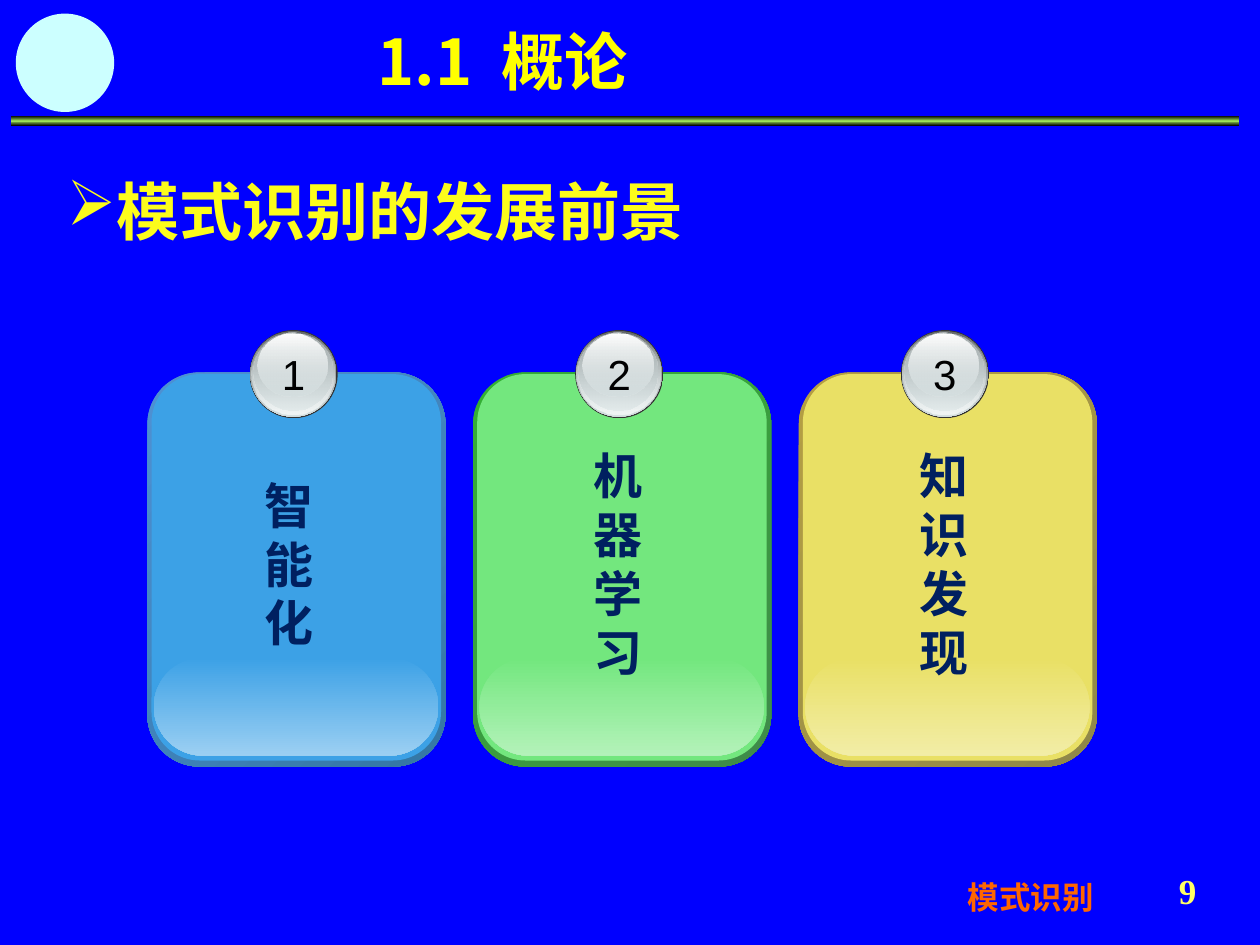
from dataclasses import dataclass
from typing import NamedTuple

from lxml import etree
from pptx import Presentation
from pptx.dml.color import RGBColor
from pptx.enum.shapes import MSO_SHAPE
from pptx.enum.text import PP_ALIGN
from pptx.oxml.ns import qn
from pptx.util import Pt

RECTANGLE = MSO_SHAPE.RECTANGLE
ROUNDED = MSO_SHAPE.ROUNDED_RECTANGLE
OVAL = MSO_SHAPE.OVAL
LEFT = PP_ALIGN.LEFT
CENTER = PP_ALIGN.CENTER

CJK_FONT = "Noto Sans CJK SC"
CARD_LEFT, CARD_TOP, CARD_STEP = 84.2, 212.8, 186.1
BALL_OFFSET, BALL_TOP = 58.4, 188.6


class Box(NamedTuple):
    left: float
    top: float
    width: float
    height: float

    def moved(self, x: float, y: float) -> "Box":
        return Box(self.left + x, self.top + y, self.width, self.height)

    def lengths(self) -> list:
        return [Pt(value) for value in self]


class Stop(NamedTuple):
    position: int
    color: str
    opacity: int = 100


@dataclass
class Style:
    size: float
    font: str
    color: str
    bold: bool = True
    align: PP_ALIGN = LEFT
    wrap: bool = True
    spacing: float = 1.0
    before: float = 0


@dataclass
class Card:
    label: str
    label_left: float
    label_top: float
    rim: tuple[str, str]
    face: str
    gloss: str


HEADING = Style(36, CJK_FONT, "FFFF00", wrap=False, spacing=1.25, before=9)
BODY = Style(36, "Times New Roman", "FCFC1C", spacing=1.25, before=9)
FOOTER = Style(18, "Arial", "FF6600")
PAGE_NUMBER = Style(20, "Times New Roman", "FFFF66", align=CENTER)
BALL_NUMBER = Style(24, "Arial", "000000", bold=False, align=CENTER, wrap=False)
CARD_LABEL = Style(28, "DejaVu Sans", "002060")

CARDS = [
    Card("智能化", 144, 268, ("4E91D4", "3477A4"), "3CA1E6", "9BCFF2"),
    Card("机器学习", 332, 251.3, ("34B034", "3F8B4A"), "73E77E", "B3F2B9"),
    Card("知识发现", 518.4, 251.3, ("B59F43", "8F8849"), "E9E065", "F2EDA6"),
]

BALL_LAYERS = [
    (Box(0, 0, 50.4, 50.4), [Stop(0, "333333"), Stop(100, "333333")]),
    (Box(0.5, 0.5, 49, 49), [Stop(0, "636869"), Stop(100, "D6E1E2")]),
    (Box(1, 0.7, 47.5, 47.5), [Stop(0, "D6E1E2", 0), Stop(100, "F1F5F5")]),
    (Box(2, 1.4, 45.2, 44.6), [Stop(0, "AAB2B3"), Stop(100, "D6E1E2", 48)]),
    (Box(4.3, 2.2, 40.2, 36), [Stop(0, "FFFFFF"), Stop(100, "D6E1E2", 38)]),
]


def rgb(color: str) -> RGBColor:
    return RGBColor.from_string(color)


def add_plain(slide, kind, box: Box, color: str = "", radius: float | None = None):
    """Add a shape without line or shadow; radius is in points."""
    shape = slide.shapes.add_shape(kind, *box.lengths())
    shape.shadow.inherit = False
    shape.line.fill.background()
    if color:
        shape.fill.solid()
        shape.fill.fore_color.rgb = rgb(color)
    if radius is not None:
        shape.adjustments[0] = radius / min(box.width, box.height)
    return shape


def set_gradient(shape, stops: list[Stop], clockwise: int = 90) -> None:
    shape.fill.gradient()
    shape.fill.gradient_angle = 360 - clockwise
    stop_list = shape.element.spPr.find(".//" + qn("a:gsLst"))
    for child in list(stop_list):
        stop_list.remove(child)
    for stop in stops:
        item = etree.SubElement(stop_list, qn("a:gs"), pos=str(stop.position * 1000))
        color = etree.SubElement(item, qn("a:srgbClr"), val=stop.color)
        if stop.opacity < 100:
            etree.SubElement(color, qn("a:alpha"), val=str(stop.opacity * 1000))


def add_text(slide, box: Box, text: str, style: Style):
    frame = slide.shapes.add_textbox(*box.lengths()).text_frame
    frame.word_wrap = style.wrap
    paragraph = frame.paragraphs[0]
    paragraph.text = text
    paragraph.alignment = style.align
    paragraph.line_spacing = style.spacing
    paragraph.space_before = Pt(style.before)
    font = paragraph.font
    font.size, font.name, font.bold = Pt(style.size), style.font, style.bold
    font.color.rgb = rgb(style.color)
    properties = paragraph._p.pPr.find(qn("a:defRPr"))
    etree.SubElement(properties, qn("a:ea"), typeface=CJK_FONT)
    return paragraph


def add_bullet(paragraph, character: str, color: str, indent: float) -> None:
    properties = paragraph._p.pPr
    properties.set("marL", str(Pt(indent)))
    properties.set("indent", str(-Pt(indent)))
    bullet_color = etree.Element(qn("a:buClr"))
    etree.SubElement(bullet_color, qn("a:srgbClr"), val=color)
    bullet = etree.Element(qn("a:buChar"), char=character)
    run_defaults = properties.find(qn("a:defRPr"))
    run_defaults.addprevious(bullet_color)
    run_defaults.addprevious(bullet)


def add_ball(slide, left: float, number: int) -> None:
    for box, stops in BALL_LAYERS:
        layer = add_plain(slide, OVAL, box.moved(left, BALL_TOP))
        set_gradient(layer, stops)
    add_text(slide, Box(left + 11.4, 195.8, 27.4, 36), str(number), BALL_NUMBER)


def add_card(slide, index: int, card: Card) -> None:
    left = CARD_LEFT + index * CARD_STEP
    rim = add_plain(slide, ROUNDED, Box(left, CARD_TOP, 170.4, 225.2), radius=29.7)
    set_gradient(rim, [Stop(0, card.rim[0]), Stop(100, card.rim[1])], 45)
    face = Box(left + 2.4, CARD_TOP + 1, 165.4, 220.8)
    add_plain(slide, ROUNDED, face, card.face, radius=27.6)
    gloss_box = Box(left + 3.7, CARD_TOP + 163, 162.6, 56)
    gloss = add_plain(slide, ROUNDED, gloss_box, radius=28)
    set_gradient(gloss, [Stop(0, card.face), Stop(100, card.gloss)])
    add_ball(slide, left + BALL_OFFSET, index + 1)
    label_box = Box(card.label_left, card.label_top, 40.3, 142)
    add_text(slide, label_box, card.label, CARD_LABEL)


def main() -> None:
    presentation = Presentation()
    presentation.slide_width, presentation.slide_height = Pt(720), Pt(540)
    slide = presentation.slides.add_slide(presentation.slide_layouts[6])
    slide.background.fill.solid()
    slide.background.fill.fore_color.rgb = rgb("0000FF")

    bar = add_plain(slide, RECTANGLE, Box(6, 66.3, 702, 5.6))
    set_gradient(bar, [Stop(0, "000000"), Stop(50, "9CE157"), Stop(100, "000000")])
    add_plain(slide, OVAL, Box(9, 7.8, 56.2, 56.2), "CCFFFF")
    add_text(slide, Box(208.8, -1.4, 203, 61.2), "1.1  概论", HEADING)
    body = add_text(slide, Box(31, 84.2, 648, 418.3), "模式识别的发展前景", BODY)
    add_bullet(body, "➢", BODY.color, 27)

    for index, card in enumerate(CARDS):
        add_card(slide, index, card)

    add_text(slide, Box(545.8, 498.2, 121, 28.8), "模式识别", FOOTER)
    add_text(slide, Box(655.2, 493.2, 46.8, 37.4), "9", PAGE_NUMBER)
    presentation.save("out.pptx")


if __name__ == "__main__":
    main()
